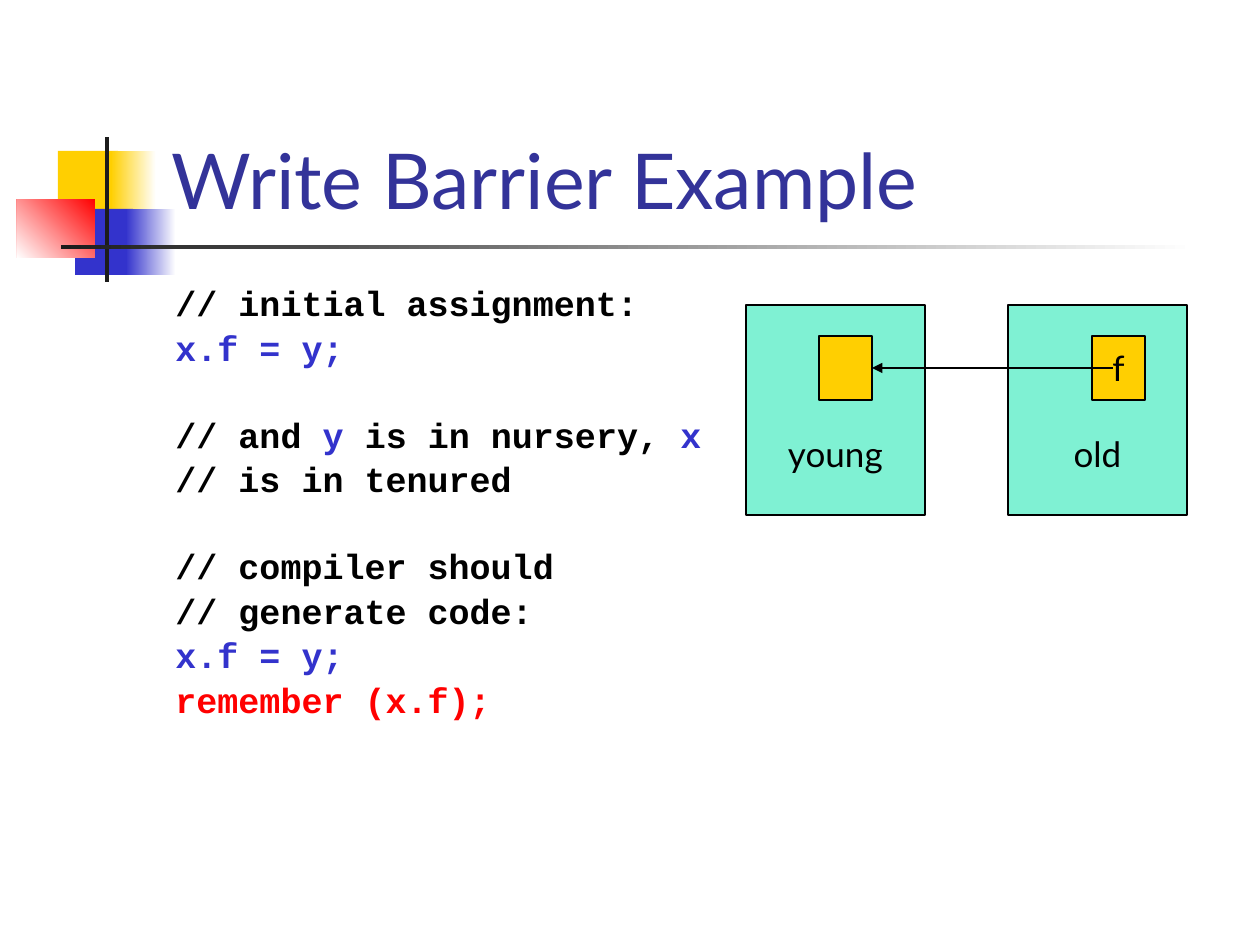
import pptx
import pptx.dml.color
import pptx.enum.dml
import pptx.enum.shapes
import pptx.enum.text
import pptx.oxml.ns
import pptx.util
import lxml.etree
from dataclasses import dataclass


@dataclass(frozen=True)
class Theme:
    yellow: str = "FFCF01"
    blue: str = "3333CC"
    red: str = "FF0000"
    white: str = "FFFFFF"
    black: str = "000000"
    charcoal: str = "1C1C1C"
    title: str = "333399"
    heap: str = "00E4A8"
    text_font: str = "Lato"
    code_font: str = "Courier New"
    title_size: int = 44
    body_size: int = 20
    line_width: float = 0.75


theme = Theme()
SCALE = 914400 / 126
qn = pptx.oxml.ns.qn


def px(*lengths):
    return [pptx.util.Emu(round(length * SCALE)) for length in lengths]


def color(value):
    return pptx.dml.color.RGBColor.from_string(value)


deck = pptx.Presentation()
deck.slide_width, deck.slide_height = px(1260, 945)
page = deck.slides.add_slide(deck.slide_layouts[5])
shapes = page.shapes
rectangle = pptx.enum.shapes.MSO_SHAPE.RECTANGLE

decorations = [
    (58, 151, 60, 66, [theme.yellow], 0),
    (111, 151, 45, 66, [theme.white, theme.yellow], 180),
    (75, 209, 58, 66, [theme.blue], 0),
    (126, 209, 50, 66, [theme.white, theme.blue], 180),
    (17, 199, 78, 59, [theme.red, theme.white], 225),
    (105, 137, 4, 145, [theme.charcoal], 0),
    (61, 245, 1134, 4, [theme.white, theme.charcoal], 180),
]
for left, top, width, height, colors, angle in decorations:
    block = shapes.add_shape(rectangle, *px(left, top, width, height))
    block.shadow.inherit = False
    block.line.fill.background()
    if len(colors) == 1:
        block.fill.solid()
        block.fill.fore_color.rgb = color(colors[0])
    else:
        block.fill.gradient()
        block.fill.gradient_angle = angle
        for stop, value in zip(block.fill.gradient_stops, colors):
            stop.color.rgb = color(value)

title = shapes.title
title.left, title.top, title.width, title.height = px(159, 29, 1074, 202)
title.text_frame.text = "Write Barrier Example"
title.text_frame.vertical_anchor = pptx.enum.text.MSO_ANCHOR.BOTTOM
title.text_frame.auto_size = pptx.enum.text.MSO_AUTO_SIZE.NONE
para = title.text_frame.paragraphs[0]
para.alignment = pptx.enum.text.PP_ALIGN.LEFT
para.font.name = theme.text_font
para.font.size = pptx.util.Pt(theme.title_size)
para.font.color.rgb = color(theme.title)
shapes._spTree.append(title._element)

code_groups = [
    [
        [("// initial assignment:", theme.black)],
        [("x.f = y;", theme.blue)],
    ],
    [
        [("// and ", theme.black), ("y", theme.blue),
         (" is in nursery, ", theme.black), ("x", theme.blue)],
        [("// is in tenured", theme.black)],
    ],
    [
        [("// compiler should", theme.black)],
        [("// generate code:", theme.black)],
        [("x.f = y;", theme.blue)],
        [("remember (x.f);", theme.red)],
    ],
]
code_box = shapes.add_textbox(*px(163, 278, 551, 567))
code_frame = code_box.text_frame
code_frame.word_wrap = True
code_frame.margin_top = px(12)[0]
for group_index, group in enumerate(code_groups):
    for line_index, pieces in enumerate(group):
        first = group_index == 0 and line_index == 0
        para = code_frame.paragraphs[0] if first else code_frame.add_paragraph()
        para.line_spacing = 0.8
        gap = 30.5 if line_index == 0 else 6.2
        para.space_before = pptx.util.Pt(0 if first else gap)
        para.font.name = theme.code_font
        para.font.size = pptx.util.Pt(theme.body_size)
        para.font.bold = True
        for words, value in pieces:
            span = para.add_run()
            span.text = words
            span.font.color.rgb = color(value)

boxes = [
    ("young", 746, 305, 179, 210, theme.heap, 94),
    ("old", 1008, 305, 179, 210, theme.heap, 94),
    ("f", 1092, 336, 53, 64, theme.yellow, 6),
    ("", 819, 336, 53, 64, theme.yellow, 6),
]
for label, left, top, width, height, fill, inset in boxes:
    box = shapes.add_shape(rectangle, *px(left, top, width, height))
    box.shadow.inherit = False
    box.fill.solid()
    box.fill.fore_color.rgb = color(fill)
    box.line.color.rgb = color(theme.black)
    box.line.width = pptx.util.Pt(theme.line_width)
    if fill == theme.heap:
        tint = box._element.spPr.find(qn("a:solidFill"))[0]
        lxml.etree.SubElement(tint, qn("a:alpha"), val="50000")
    if label:
        frame = box.text_frame
        frame.text = label
        frame.word_wrap = False
        frame.margin_top = px(inset)[0]
        frame.vertical_anchor = pptx.enum.text.MSO_ANCHOR.MIDDLE
        para = frame.paragraphs[0]
        para.alignment = pptx.enum.text.PP_ALIGN.CENTER
        para.font.name = theme.text_font
        para.font.size = pptx.util.Pt(theme.body_size)
        para.font.color.rgb = color(theme.black)
young_slot = box

reference = shapes.add_connector(
    pptx.enum.shapes.MSO_CONNECTOR.STRAIGHT, *px(1113, 368, 872, 368)
)
reference.end_connect(young_slot, 3)
reference.line.color.rgb = color(theme.black)
reference.line.width = pptx.util.Pt(theme.line_width)
lxml.etree.SubElement(reference.line._get_or_add_ln(), qn("a:tailEnd"), type="triangle")
lxml.etree.SubElement(reference._element.spPr, qn("a:effectLst"))

deck.save("out.pptx")
